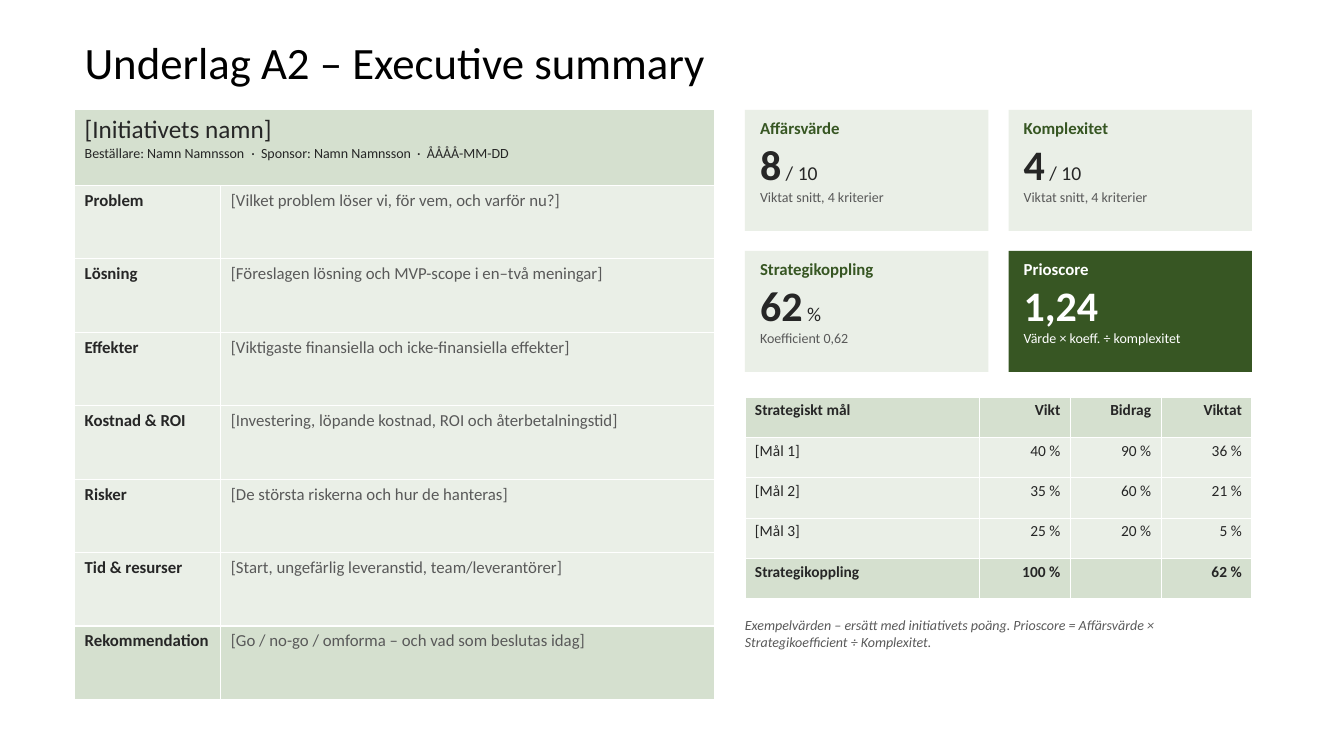
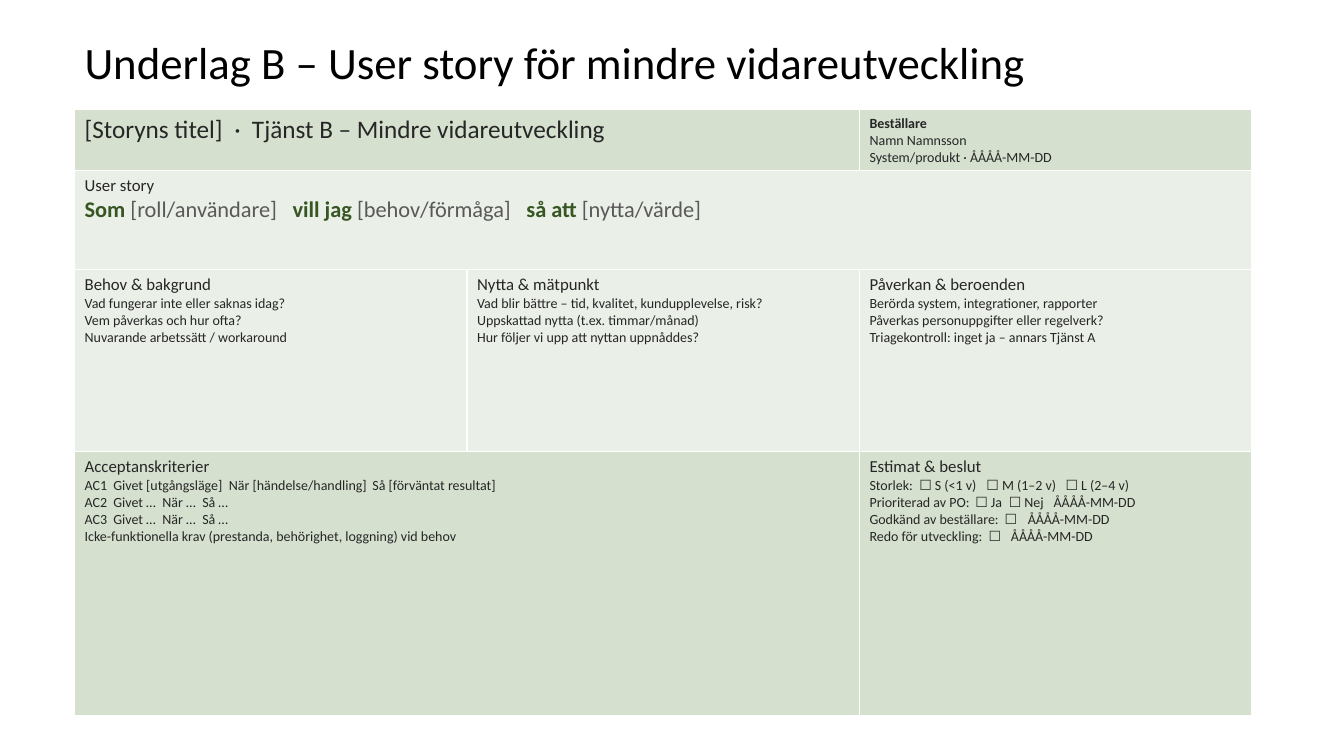
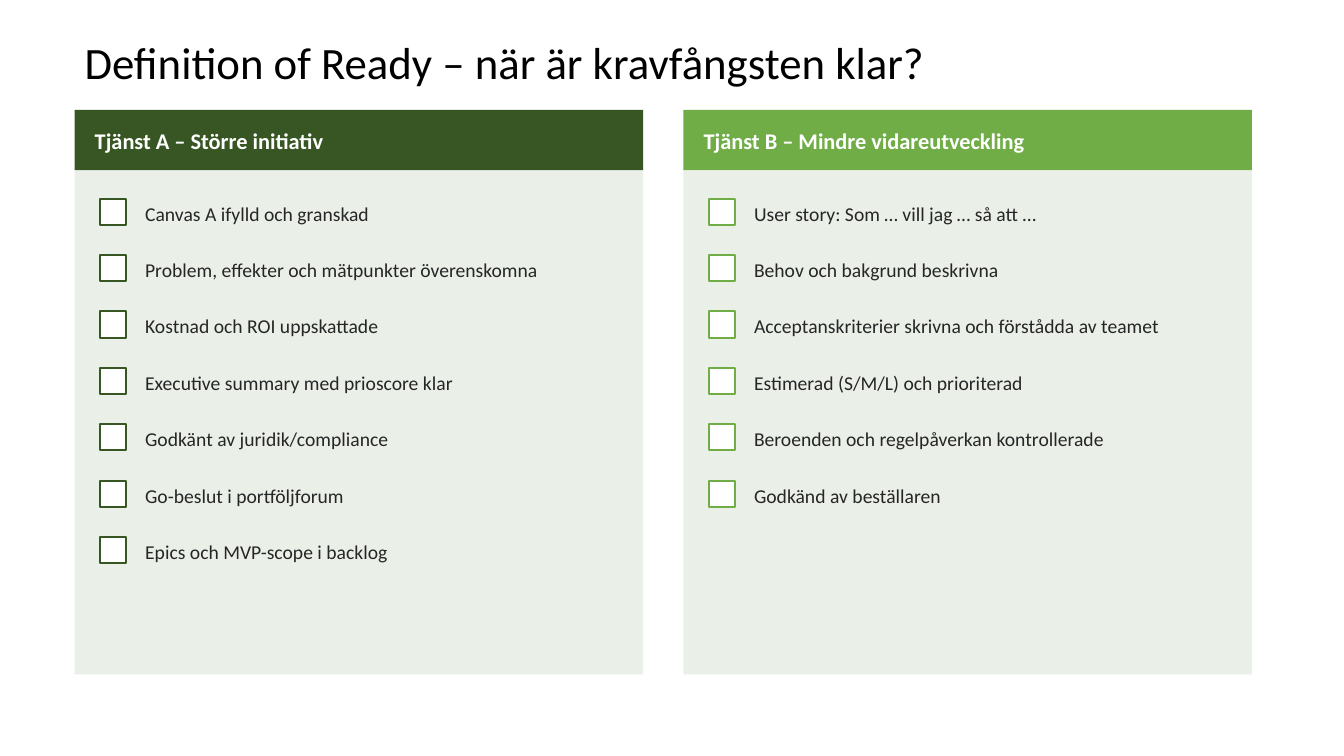
from lxml import etree
from pptx import Presentation
from pptx.dml.color import RGBColor
from pptx.enum import shapes, text
from pptx.oxml.ns import qn
from pptx.util import Pt

FONT = "Calibri"
DARK, GREEN, MEDIUM, PALE = "375623", "70AD47", "D5E0CF", "EAEFE7"
INK, GRAY, WHITE, BLACK = "262626", "595959", "FFFFFF", "000000"

SLIDE_WIDTH, SLIDE_HEIGHT = 960, 540
LEFT, TOP, WIDTH = 53.3, 78.5, 841
TITLE_TOP, TITLE_HEIGHT = 28.8, 35.3
CELL_MARGINS = (7.2, 3.6)
CARD_MARGINS = (10.8, 5.76)

HEADLINE = {"size": 18}
HEADING = {"size": 12}
SMALL = {"size": 10}
LABEL = {"size": 12, "bold": True}
HINT = {"size": 12, "color": GRAY}
KEYWORD = {"size": 16, "color": DARK, "bold": True}
BLANK = {"size": 16, "color": GRAY}

SUMMARY_TITLE = "Underlag A2 – Executive summary"
SUMMARY_HEADER = [
    ("[Initiativets namn]", HEADLINE),
    ("Beställare: Namn Namnsson\t·\tSponsor: Namn Namnsson\t·\tÅÅÅÅ-MM-DD",
     SMALL, (119, 126, 237.5, 244.5)),
]
SUMMARY_ROWS = [
    ("Problem", "[Vilket problem löser vi, för vem, och varför nu?]"),
    ("Lösning", "[Föreslagen lösning och MVP-scope i en–två meningar]"),
    ("Effekter", "[Viktigaste finansiella och icke-finansiella effekter]"),
    ("Kostnad & ROI", "[Investering, löpande kostnad, ROI och återbetalningstid]"),
    ("Risker", "[De största riskerna och hur de hanteras]"),
    ("Tid & resurser", "[Start, ungefärlig leveranstid, team/leverantörer]"),
    ("Rekommendation", "[Go / no-go / omforma – och vad som beslutas idag]"),
]
SCORES = [
    ("Affärsvärde", "8", " / 10", "Viktat snitt, 4 kriterier"),
    ("Komplexitet", "4", " / 10", "Viktat snitt, 4 kriterier"),
    ("Strategikoppling", "62", " %", "Koefficient 0,62"),
    ("Prioscore", "1,24", "", "Värde × koeff. ÷ komplexitet"),
]
GOALS = [
    ("Strategiskt mål", "Vikt", "Bidrag", "Viktat"),
    ("[Mål 1]", "40 %", "90 %", "36 %"),
    ("[Mål 2]", "35 %", "60 %", "21 %"),
    ("[Mål 3]", "25 %", "20 %", "5 %"),
    ("Strategikoppling", "100 %", "", "62 %"),
]
FOOTNOTE = ("Exempelvärden – ersätt med initiativets poäng. "
            "Prioscore = Affärsvärde × Strategikoefficient ÷ Komplexitet.")

STORY_TITLE = "Underlag B – User story för mindre vidareutveckling"
STORY_CELLS = [
    (0, 0, 2, [("[Storyns titel]\t·\tTjänst B – Mindre vidareutveckling",
                HEADLINE, (107, 119.5))]),
    (0, 2, 1, [("Beställare", {"size": 10, "bold": True}),
               ("Namn Namnsson", SMALL),
               ("System/produkt · ÅÅÅÅ-MM-DD", SMALL)]),
    (1, 0, 3, [("User story", HEADING),
               ([("Som ", KEYWORD), ("[roll/användare]", BLANK),
                 ("\tvill jag ", KEYWORD), ("[behov/förmåga]", BLANK),
                 ("\tså att ", KEYWORD), ("[nytta/värde]", BLANK)],
                BLANK, (148.5, 315.5))]),
    (2, 0, 1, [("Behov & bakgrund", HEADING),
               ("Vad fungerar inte eller saknas idag?", SMALL),
               ("Vem påverkas och hur ofta?", SMALL),
               ("Nuvarande arbetssätt / workaround", SMALL)]),
    (2, 1, 1, [("Nytta & mätpunkt", HEADING),
               ("Vad blir bättre – tid, kvalitet, kundupplevelse, risk?", SMALL),
               ("Uppskattad nytta (t.ex. timmar/månad)", SMALL),
               ("Hur följer vi upp att nyttan uppnåddes?", SMALL)]),
    (2, 2, 1, [("Påverkan & beroenden", HEADING),
               ("Berörda system, integrationer, rapporter", SMALL),
               ("Påverkas personuppgifter eller regelverk?", SMALL),
               ("Triagekontroll: inget ja – annars Tjänst A", SMALL)]),
    (3, 0, 2, [("Acceptanskriterier", HEADING),
               ("AC1\tGivet [utgångsläge]\tNär [händelse/handling]\tSå [förväntat resultat]",
                SMALL, (20.5, 103, 205.5)),
               ("AC2\tGivet …\tNär …\tSå …", SMALL, (20.5, 55.5, 84)),
               ("AC3\tGivet …\tNär …\tSå …", SMALL, (20.5, 55.5, 84)),
               ("Icke-funktionella krav (prestanda, behörighet, loggning) vid behov", SMALL)]),
    (3, 2, 1, [("Estimat & beslut", HEADING),
               ("Storlek:\t☐ S (<1 v)\t☐ M (1–2 v)\t☐ L (2–4 v)", SMALL, (35.5, 83.5, 140)),
               ("Prioriterad av PO:\t☐ Ja\t☐ Nej\tÅÅÅÅ-MM-DD", SMALL, (75.5, 99.5, 131.5)),
               ("Godkänd av beställare:\t☐\tÅÅÅÅ-MM-DD", SMALL, (96.5, 113)),
               ("Redo för utveckling:\t☐\tÅÅÅÅ-MM-DD", SMALL, (85, 101))]),
]
STORY_ROW_FILLS = [MEDIUM, PALE, PALE, MEDIUM]

READY_TITLE = "Definition of Ready – när är kravfångsten klar?"
CHECKLISTS = [
    ("Tjänst A – Större initiativ", DARK, [
        "Canvas A ifylld och granskad",
        "Problem, effekter och mätpunkter överenskomna",
        "Kostnad och ROI uppskattade",
        "Executive summary med prioscore klar",
        "Godkänt av juridik/compliance",
        "Go-beslut i portföljforum",
        "Epics och MVP-scope i backlog",
    ]),
    ("Tjänst B – Mindre vidareutveckling", GREEN, [
        "User story: Som … vill jag … så att …",
        "Behov och bakgrund beskrivna",
        "Acceptanskriterier skrivna och förstådda av teamet",
        "Estimerad (S/M/L) och prioriterad",
        "Beroenden och regelpåverkan kontrollerade",
        "Godkänd av beställaren",
    ]),
]


def rgb(color):
    return RGBColor.from_string(color)


def set_font(font, size, color=INK, bold=False, italic=False):
    font.name = FONT
    font.size = Pt(size)
    font.bold = bold
    font.italic = italic
    font.color.rgb = rgb(color)


def add_tabs(paragraph, positions):
    tab_list = etree.SubElement(paragraph._p.get_or_add_pPr(), qn("a:tabLst"))
    for position in positions:
        etree.SubElement(tab_list, qn("a:tab"), pos=str(int(Pt(position))), algn="l")


def write(frame, paragraphs, align=text.PP_ALIGN.LEFT):
    for index, (content, style, *tabs) in enumerate(paragraphs):
        paragraph = frame.add_paragraph() if index else frame.paragraphs[0]
        paragraph.alignment = align
        if tabs:
            add_tabs(paragraph, tabs[0])
        if isinstance(content, str):
            paragraph.add_run().text = content
            set_font(paragraph.font, **style)
        else:
            for run_text, run_style in content:
                run = paragraph.add_run()
                run.text = run_text
                set_font(run.font, **run_style)


def set_frame(frame, margins, anchor):
    frame.word_wrap = True
    frame.margin_left = frame.margin_right = Pt(margins[0])
    frame.margin_top = frame.margin_bottom = Pt(margins[1])
    frame.vertical_anchor = anchor


def add_text(slide, box, paragraphs, margins, anchor=text.MSO_ANCHOR.TOP):
    shape = slide.shapes.add_textbox(*map(Pt, box))
    set_frame(shape.text_frame, margins, anchor)
    write(shape.text_frame, paragraphs)
    return shape


def add_box(slide, box, fill, line=None, paragraphs=(), margins=CARD_MARGINS,
            anchor=text.MSO_ANCHOR.TOP):
    shape = slide.shapes.add_shape(shapes.MSO_SHAPE.RECTANGLE, *map(Pt, box))
    shape.shadow.inherit = False
    shape.fill.solid()
    shape.fill.fore_color.rgb = rgb(fill)
    if line:
        shape.line.color.rgb = rgb(line)
        shape.line.width = Pt(1.5)
    else:
        shape.line.fill.background()
    set_frame(shape.text_frame, margins, anchor)
    write(shape.text_frame, paragraphs)


def set_borders(cell):
    properties = cell._tc.get_or_add_tcPr()
    for index, side in enumerate(("lnL", "lnR", "lnT", "lnB")):
        line = etree.Element(qn(f"a:{side}"), w=str(int(Pt(1))))
        fill = etree.SubElement(line, qn("a:solidFill"))
        etree.SubElement(fill, qn("a:srgbClr"), val=WHITE)
        properties.insert(index, line)


def add_table(slide, left, top, columns, rows, row_fills, margins=CELL_MARGINS):
    table = slide.shapes.add_table(len(rows), len(columns), Pt(left), Pt(top),
                                   Pt(sum(columns)), Pt(sum(rows))).table
    table.first_row = table.horz_banding = False
    for column, width in zip(table.columns, columns):
        column.width = Pt(width)
    for row, height, color in zip(table.rows, rows, row_fills):
        row.height = Pt(height)
        for cell in row.cells:
            cell.fill.solid()
            cell.fill.fore_color.rgb = rgb(color)
            cell.margin_left = cell.margin_right = Pt(margins[0])
            cell.margin_top = cell.margin_bottom = Pt(margins[1])
            set_borders(cell)
    return table


def add_slide(presentation, title):
    slide = presentation.slides.add_slide(presentation.slide_layouts[6])
    shape = add_text(slide, (LEFT, TITLE_TOP, WIDTH, TITLE_HEIGHT),
                     [(title, {"size": 32, "color": BLACK})],
                     CELL_MARGINS, text.MSO_ANCHOR.MIDDLE)
    shape.text_frame.paragraphs[0].line_spacing = 0.9
    return slide


def build_summary(presentation):
    slide = add_slide(presentation, SUMMARY_TITLE)
    last = len(SUMMARY_ROWS)
    table = add_table(slide, LEFT, TOP, [104.4, 352.8], [54] + [52.45] * last,
                      [MEDIUM] + [PALE] * (last - 1) + [MEDIUM])
    table.cell(0, 0).merge(table.cell(0, 1))
    write(table.cell(0, 0).text_frame, SUMMARY_HEADER)
    for row, (label, hint) in enumerate(SUMMARY_ROWS, 1):
        write(table.cell(row, 0).text_frame, [(label, LABEL)])
        write(table.cell(row, 1).text_frame, [(hint, HINT)])

    panel_left, panel_width, gap, card_height = 532.1, 362.2, 14.4, 86.4
    card_width = (panel_width - gap) / 2
    for index, (name, value, unit, note) in enumerate(SCORES):
        row, column = divmod(index, 2)
        highlighted = index == len(SCORES) - 1
        fill, accent, ink, muted = (
            (DARK, WHITE, WHITE, WHITE) if highlighted else (PALE, DARK, INK, GRAY))
        runs = [(value, {"size": 30, "color": ink, "bold": True})]
        if unit:
            runs.append((unit, {"size": 14, "color": ink}))
        add_box(slide, (panel_left + column * (card_width + gap),
                        TOP + row * (card_height + gap), card_width, card_height),
                fill, paragraphs=[
                    (name, {"size": 12, "color": accent, "bold": True}),
                    (runs, {}),
                    (note, {"size": 10, "color": muted})])

    goal_table = add_table(slide, panel_left, 283.7, [167.8] + [64.8] * 3,
                           [28.8] * len(GOALS), [MEDIUM, PALE, PALE, PALE, MEDIUM],
                           (7.2, 2.88))
    for row, values in enumerate(GOALS):
        style = {"size": 11, "bold": row in (0, len(GOALS) - 1)}
        for column, value in enumerate(values):
            align = text.PP_ALIGN.RIGHT if column else text.PP_ALIGN.LEFT
            write(goal_table.cell(row, column).text_frame, [(value, style)], align)
    add_text(slide, (panel_left, 434.9, panel_width, 39.6),
             [(FOOTNOTE, {"size": 10, "color": GRAY, "italic": True})], (0, 5.76))


def build_story(presentation):
    slide = add_slide(presentation, STORY_TITLE)
    table = add_table(slide, LEFT, TOP, [WIDTH / 3] * 3, [36, 70.8, 129.9, 188.6],
                      STORY_ROW_FILLS)
    for row, column, span, paragraphs in STORY_CELLS:
        cell = table.cell(row, column)
        if span > 1:
            cell.merge(table.cell(row, column + span - 1))
        write(cell.text_frame, paragraphs)


def build_ready(presentation):
    slide = add_slide(presentation, READY_TITLE)
    gap, header_height, body_height = 28.8, 43.2, 360
    check_size, item_height, pitch = 18.7, 32.4, 40.3
    panel_width = (WIDTH - gap) / 2
    body_top = TOP + header_height
    for index, (heading, color, items) in enumerate(CHECKLISTS):
        left = LEFT + index * (panel_width + gap)
        add_box(slide, (left, TOP, panel_width, header_height), color,
                paragraphs=[(heading, {"size": 16, "color": WHITE, "bold": True})],
                margins=(14.4, 5.76), anchor=text.MSO_ANCHOR.MIDDLE)
        add_box(slide, (left, body_top, panel_width, body_height), PALE)
        for row, item in enumerate(items):
            item_top = body_top + 14.4 + row * pitch
            add_box(slide, (left + 18, item_top + 5.76, check_size, check_size), WHITE, color)
            add_text(slide, (left + 50.4, item_top, panel_width - 64.8, item_height),
                     [(item, {"size": 14})], (0, 5.76), text.MSO_ANCHOR.MIDDLE)


def main():
    presentation = Presentation()
    presentation.slide_width = Pt(SLIDE_WIDTH)
    presentation.slide_height = Pt(SLIDE_HEIGHT)
    build_summary(presentation)
    build_story(presentation)
    build_ready(presentation)
    presentation.save("out.pptx")


if __name__ == "__main__":
    main()
